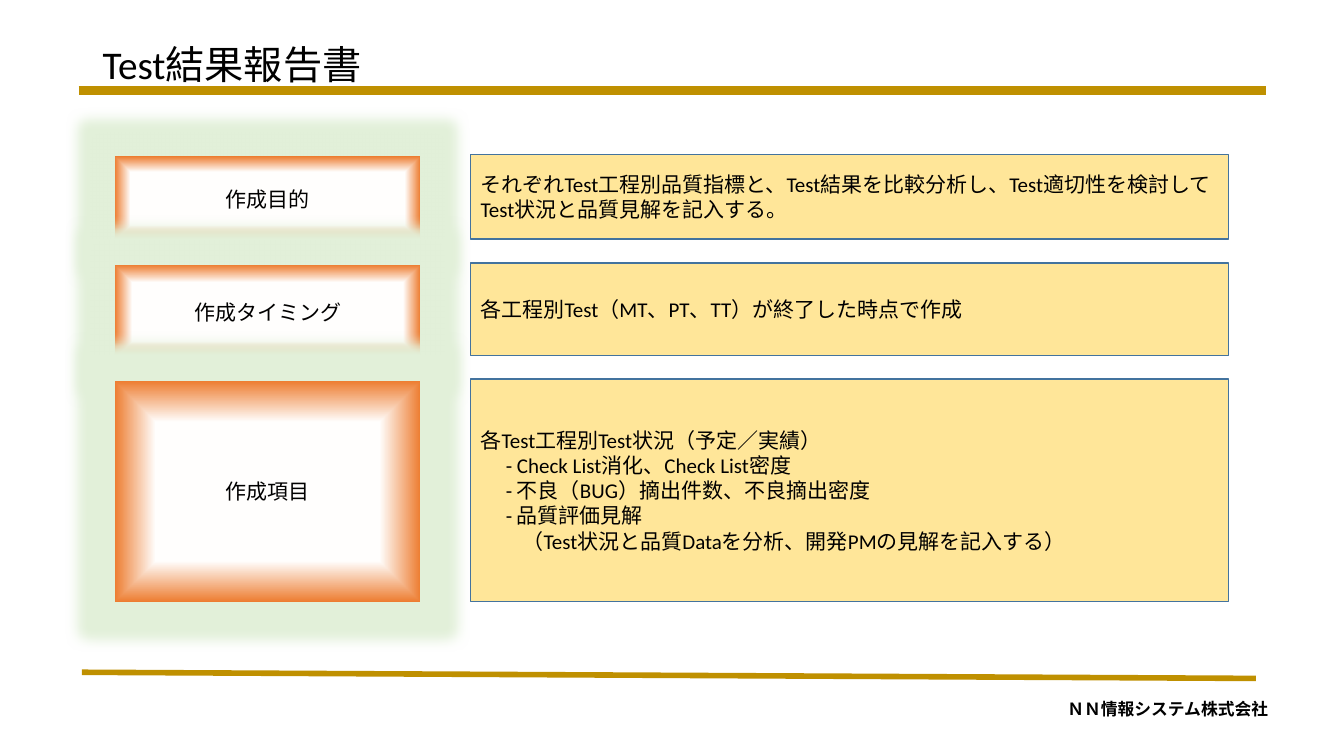
from lxml import etree
from pptx import Presentation
from pptx.dml.color import RGBColor
from pptx.enum import shapes, text
from pptx.oxml import ns
from pptx.util import Pt

TITLE = "Test結果報告書"
FIRM = "ＮＮ情報システム株式会社"
ROWS = [
    ("作成目的", 110.2, 60.5, 60.5, [
        (0, "それぞれTest工程別品質指標と、Test結果を比較分析し、Test適切性を検討して"),
        (0, "Test状況と品質見解を記入する。"),
    ]),
    ("作成タイミング", 187.9, 66.2, 67, [
        (0, "各工程別Test（MT、PT、TT）が終了した時点で作成"),
    ]),
    ("作成項目", 270.7, 159.1, 157.7, [
        (0, "各Test工程別Test状況（予定／実績）"),
        (18, "- Check List消化、Check List密度"),
        (18, "- 不良（BUG）摘出件数、不良摘出密度"),
        (18, "- 品質評価見解"),
        (30, "（Test状況と品質Dataを分析、開発PMの見解を記入する）"),
    ]),
]
RULES = [
    (56.2, 64.8, 904.3, 64.8, 6.25),
    (58.5, 480.2, 897, 484.6, 4),
]
COLORS = {
    "ink": "000000", "gold": "BF9000", "sand": "FFE699", "edge": "43739E",
    "core": "FFFEFD", "rim": "ED7D31", "glow": "E2F0D9",
}
LABEL_X, LABEL_W = 82.1, 218.2
BODY_X, BODY_W = 336.2, 541.4
DROP = 1.5
GLOW = 18

deck = Presentation()
deck.slide_width, deck.slide_height = Pt(960), Pt(540)
slide = deck.slides.add_slide(deck.slide_layouts[6])


def rgb(name):
    return RGBColor.from_string(COLORS[name])


def node(base, tag, **attrs):
    return etree.SubElement(base, ns.qn("a:" + tag), attrs)


def write(shape, lines, size, align=text.PP_ALIGN.LEFT, bold=False,
          space=1.0, anchor=text.MSO_ANCHOR.MIDDLE):
    frame = shape.text_frame
    frame.word_wrap = True
    frame.vertical_anchor = anchor
    for i, (indent, line) in enumerate(lines):
        para = frame.paragraphs[0] if i == 0 else frame.add_paragraph()
        para.text = line
        para.alignment = align
        para.line_spacing = space
        if indent:
            para._p.get_or_add_pPr().set("marL", str(Pt(indent)))
        para.font.name = "Calibri"
        para.font.size = Pt(size)
        para.font.bold = bold
        para.font.color.rgb = rgb("ink")


def block(x, y, w, h):
    shape = slide.shapes.add_shape(
        shapes.MSO_SHAPE.RECTANGLE, Pt(x), Pt(y), Pt(w), Pt(h))
    shape.shadow.inherit = False
    return shape


def bevel(shape):
    shape.fill.gradient()
    grad = shape._element.spPr.find(ns.qn("a:gradFill"))
    for child in list(grad):
        grad.remove(child)
    stops = node(grad, "gsLst")
    for pos, name in ((63, "core"), (100, "rim")):
        stop = node(stops, "gs", pos=str(pos * 1000))
        node(stop, "srgbClr", val=COLORS[name])
    route = node(grad, "path", path="shape")
    node(route, "fillToRect", l="50000", t="50000", r="50000", b="50000")
    effects = shape._element.spPr.find(ns.qn("a:effectLst"))
    halo = node(effects, "glow", rad=str(Pt(GLOW)))
    node(halo, "srgbClr", val=COLORS["glow"])
    shape.line.fill.background()


title = slide.shapes.add_textbox(Pt(66.2), Pt(18), Pt(828), Pt(59))
write(title, [(0, TITLE)], 28, space=0.9)

for x1, y1, x2, y2, width in RULES:
    rule = slide.shapes.add_connector(
        shapes.MSO_CONNECTOR.STRAIGHT, Pt(x1), Pt(y1), Pt(x2), Pt(y2))
    rule.line.color.rgb = rgb("gold")
    rule.line.width = Pt(width)
    node(rule._element.spPr, "effectLst")

firm = slide.shapes.add_textbox(Pt(755.3), Pt(497.5), Pt(175), Pt(32.4))
write(firm, [(0, FIRM)], 12, bold=True, space=0.9, anchor=text.MSO_ANCHOR.TOP)

for name, top, tall, high, lines in ROWS:
    label = block(LABEL_X, top + DROP, LABEL_W, high)
    bevel(label)
    write(label, [(0, name)], 15, text.PP_ALIGN.CENTER)
    body = block(BODY_X, top, BODY_W, tall)
    body.fill.solid()
    body.fill.fore_color.rgb = rgb("sand")
    body.line.color.rgb = rgb("edge")
    body.line.width = Pt(1)
    write(body, lines, 15)

deck.save("out.pptx")
